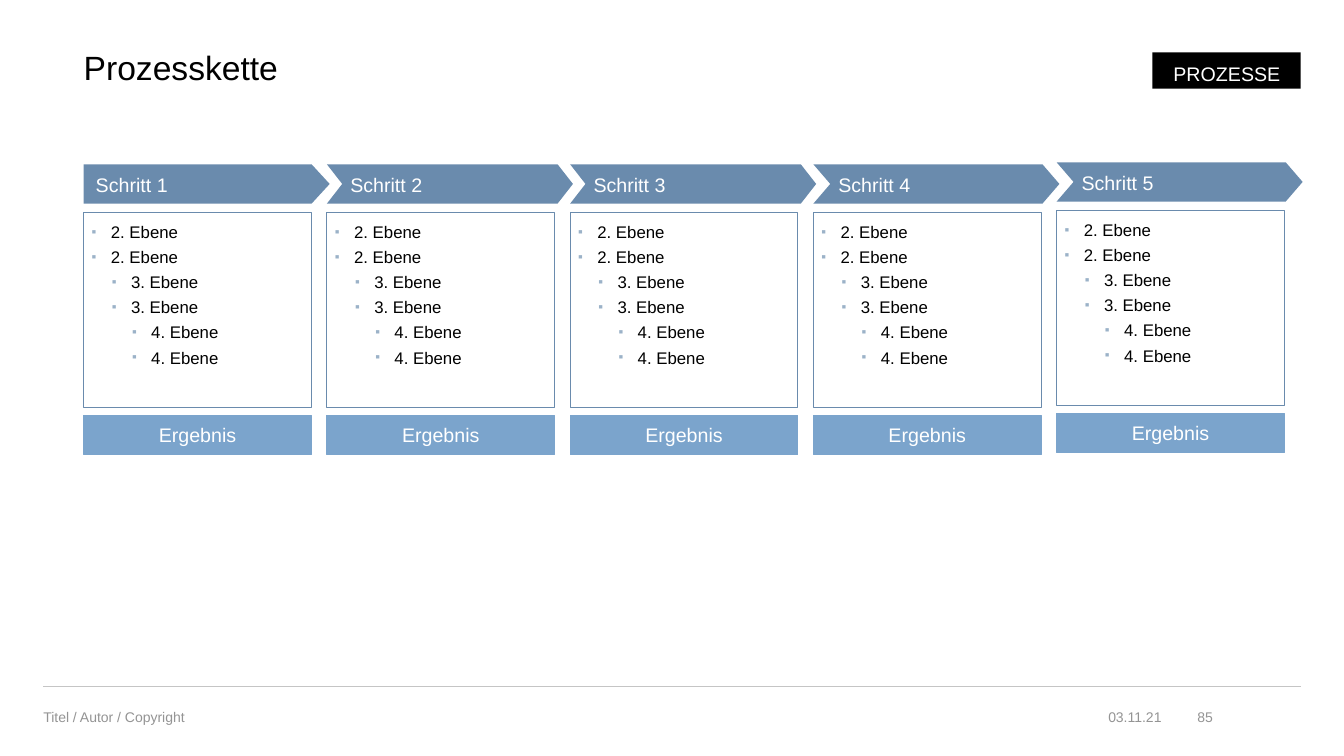
from lxml.etree import SubElement
from pptx import Presentation
from pptx.dml.color import RGBColor
from pptx.enum.shapes import MSO_CONNECTOR as Connector, MSO_SHAPE as Shape
from pptx.enum.text import MSO_ANCHOR as Anchor, MSO_AUTO_SIZE as AutoSize, PP_ALIGN as Align
from pptx.oxml.ns import qn
from pptx.util import Inches, Pt

FONT = "Arial"
BLACK, WHITE, GREY, RULE = "000000", "FFFFFF", "949494", "C5C5C5"
STEEL, SKY, BULLET = "6A8BAD", "7BA4CC", "9BB2C8"


def rgb(value):
    return RGBColor.from_string(value)


class ProcessSlide:
    def __init__(self, deck):
        self.slide = deck.slides.add_slide(deck.slide_layouts[5])

    def frame(self, shape, insets, anchor=Anchor.TOP, wrap=True):
        frame = shape.text_frame
        frame.auto_size = AutoSize.NONE
        frame.word_wrap = wrap
        frame.vertical_anchor = anchor
        (frame.margin_left, frame.margin_top,
         frame.margin_right, frame.margin_bottom) = map(Inches, insets)
        return frame

    def add_text(self, paragraph, text, size, color, align=Align.LEFT, spacing=1.0, after=0):
        paragraph.alignment = align
        paragraph.line_spacing = spacing
        paragraph.space_before = Pt(0)
        paragraph.space_after = Pt(after)
        run = paragraph.add_run()
        run.text = text
        run.font.name = FONT
        run.font.size = Pt(size)
        run.font.color.rgb = rgb(color)

    def bullet(self, paragraph, left, hanging):
        props = paragraph._p.get_or_add_pPr()
        props.set("marL", str(Inches(left)))
        props.set("indent", str(-Inches(hanging)))
        SubElement(SubElement(props, qn("a:buClr")), qn("a:srgbClr"), val=BULLET)
        SubElement(props, qn("a:buSzPct"), val="80000")
        SubElement(props, qn("a:buFont"), typeface=FONT)
        SubElement(props, qn("a:buChar"), char="▪")

    def title(self, box, text):
        heading = self.slide.shapes.title
        heading.left, heading.top, heading.width, heading.height = map(Inches, box)
        frame = self.frame(heading, (0, 0, 0, 0))
        self.add_text(frame.paragraphs[0], text, 24, BLACK, spacing=0.9)

    def label(self, box, text, align=Align.LEFT):
        note = self.slide.shapes.add_textbox(*map(Inches, box))
        frame = self.frame(note, (0, 0, 0, 0), Anchor.MIDDLE)
        self.add_text(frame.paragraphs[0], text, 10, GREY, align)

    def rule(self, left, right, y):
        line = self.slide.shapes.add_connector(
            Connector.STRAIGHT, Inches(left), Inches(y), Inches(right), Inches(y))
        line.line.color.rgb = rgb(RULE)
        line.line.width = Pt(0.5)
        SubElement(line._element.spPr, qn("a:effectLst"))

    def block(self, kind, box, fill=None, outline=None):
        block = self.slide.shapes.add_shape(kind, *map(Inches, box))
        block.shadow.inherit = False
        if fill:
            block.fill.solid()
            block.fill.fore_color.rgb = rgb(fill)
        else:
            block.fill.background()
        if outline:
            block.line.color.rgb = rgb(outline)
            block.line.width = Pt(0.75)
        else:
            block.line.fill.background()
        return block

    def step(self, box, text, kind, tip, inset):
        arrow = self.block(kind, box, fill=STEEL)
        arrow.adjustments[0] = tip
        frame = self.frame(arrow, (inset, 0.04, 0.04, 0.04), Anchor.MIDDLE)
        self.add_text(frame.paragraphs[0], text, 14, WHITE, spacing=1.04)

    def details(self, box, items):
        panel = self.block(Shape.RECTANGLE, box, outline=STEEL)
        frame = self.frame(panel, (0.08, 0.08, 0, 0))
        for index, (level, text) in enumerate(items):
            paragraph = frame.add_paragraph() if index else frame.paragraphs[0]
            paragraph.level = level
            self.add_text(paragraph, text, 12, BLACK, spacing=1.04, after=3)
            self.bullet(paragraph, 0.19 + 0.2 * level, 0.19)

    def result(self, box, text):
        bar = self.block(Shape.RECTANGLE, box, fill=SKY, outline=SKY)
        frame = self.frame(bar, (0, 0.08, 0, 0.04))
        self.add_text(frame.paragraphs[0], text, 14, WHITE, Align.CENTER)

    def tag(self, box, text):
        badge = self.block(Shape.RECTANGLE, box, fill=BLACK)
        frame = self.frame(badge, (0.2, 0.05, 0.2, 0.05), wrap=False)
        self.add_text(frame.paragraphs[0], text, 14, WHITE, Align.RIGHT, 1.2, 10)


def main():
    deck = Presentation()
    deck.slide_width, deck.slide_height = Inches(13.33), Inches(7.5)
    page = ProcessSlide(deck)

    # Heading
    page.title((0.83, 0.51, 12.07, 0.36), "Prozesskette")
    page.tag((11.43, 0.52, 1.47, 0.36), "PROZESSE")

    # Process chain: arrow, details and result per step
    levels = [(level, f"{level + 2}. Ebene") for level in range(3) for _ in range(2)]
    tips = [0.46, 0.39, 0.39, 0.43, 0.43]
    first_left, last_left, width = 0.83, 10.48, 2.26
    pitch = (last_left - first_left) / (len(tips) - 1)
    for index, tip in enumerate(tips):
        left = first_left + index * pitch
        is_first, is_last = index == 0, index == len(tips) - 1
        top = 1.61 if is_last else 1.63
        kind = Shape.PENTAGON if is_first else Shape.CHEVRON
        page.step((left, top, 2.44, 0.39), f"Schritt {index + 1}", kind, tip,
                  0.12 if is_first else 0.08)
        page.details((left, top + 0.48, width, 1.93), levels)
        page.result((left, top + 2.49, width, 0.39), "Ergebnis")

    # Footer
    page.rule(0.43, 12.9, 6.81)
    page.label((0.43, 6.92, 6.07, 0.39), "Titel / Autor / Copyright")
    page.label((10.77, 6.92, 0.75, 0.39), "03.11.21", Align.RIGHT)
    page.label((11.72, 6.92, 0.31, 0.39), "85", Align.RIGHT)

    deck.save("out.pptx")


if __name__ == "__main__":
    main()
